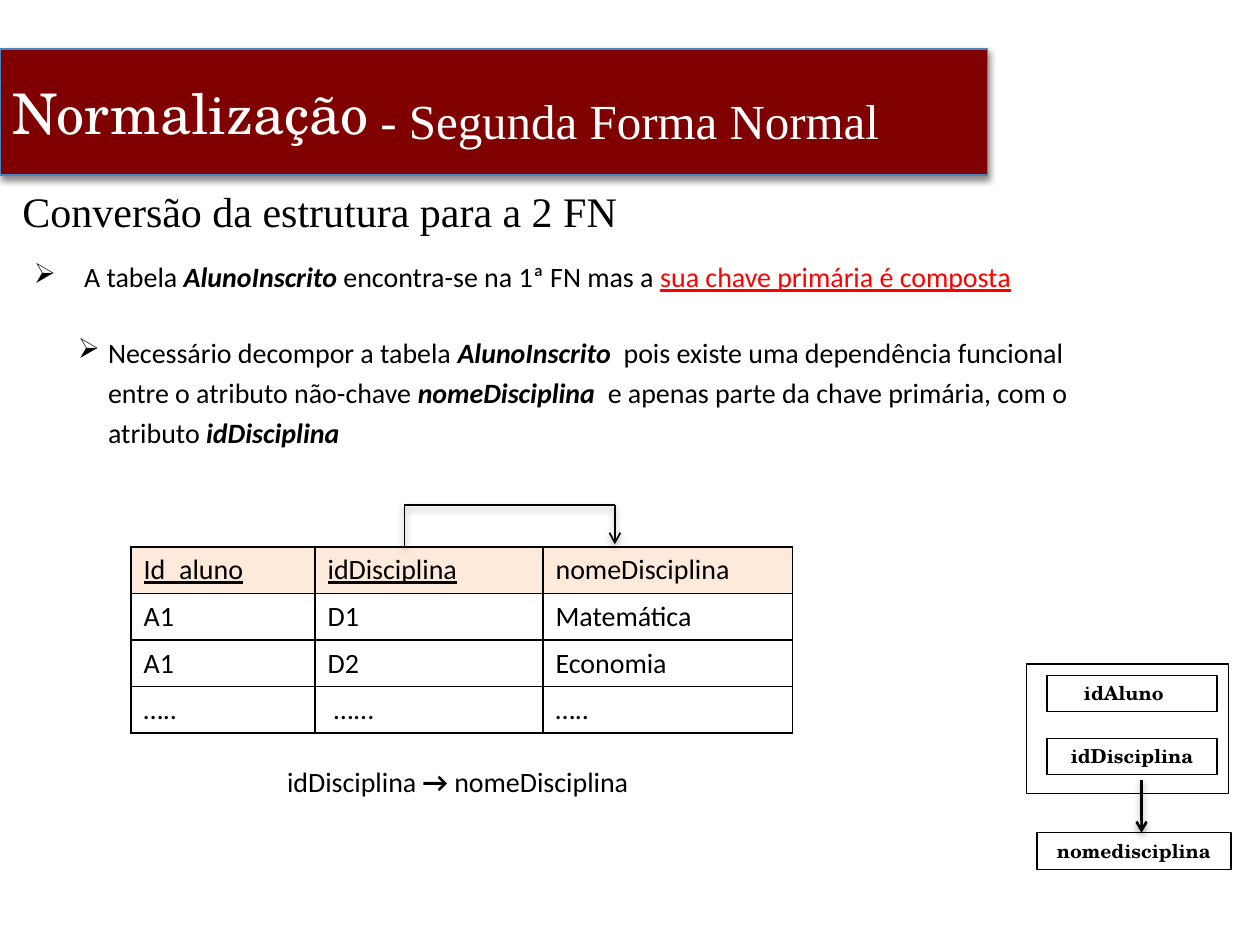
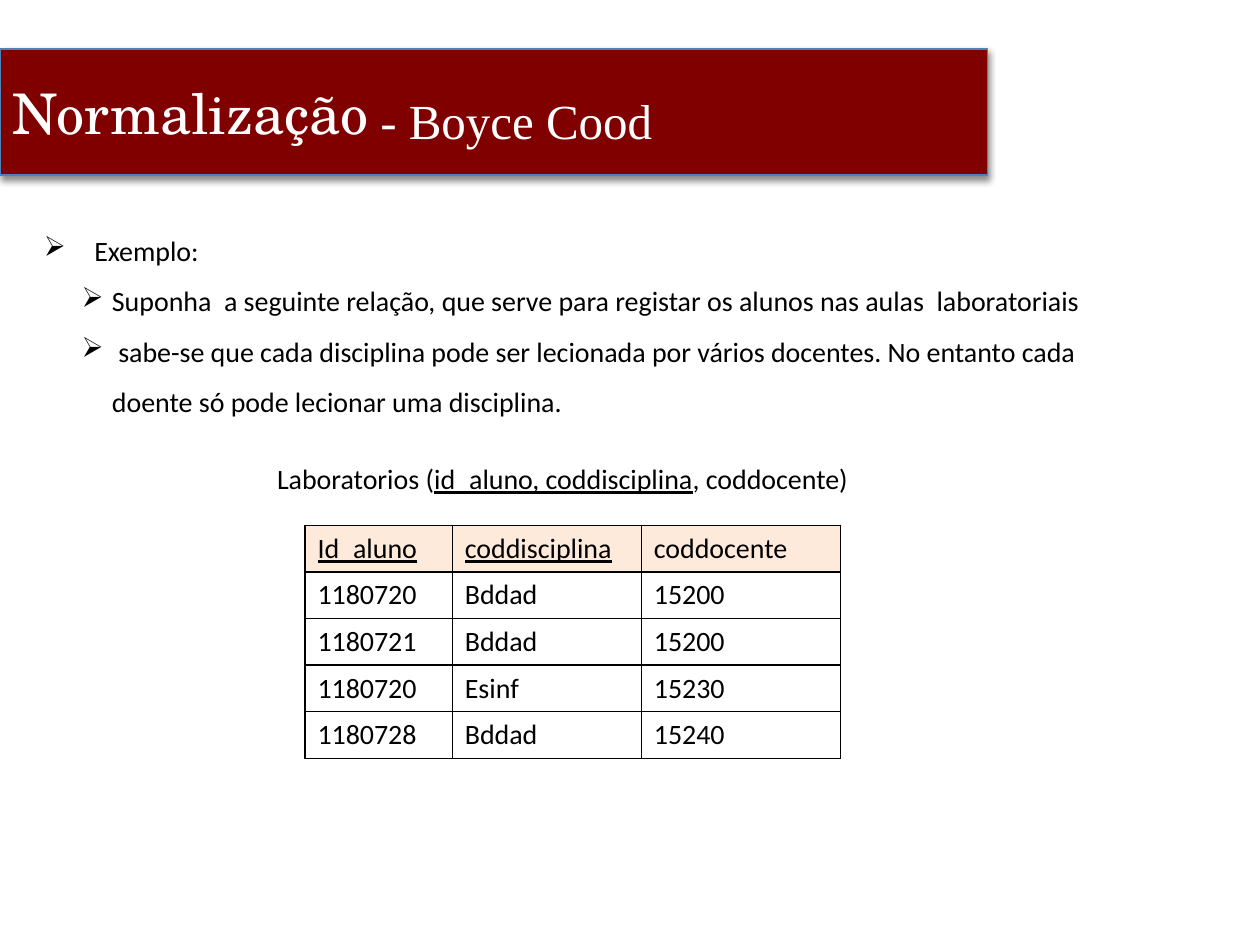
from dataclasses import dataclass
from typing import NamedTuple

from lxml import etree
from pptx import Presentation
from pptx.dml.color import RGBColor
from pptx.enum.shapes import MSO_CONNECTOR, MSO_SHAPE
from pptx.enum.text import MSO_ANCHOR, PP_ALIGN
from pptx.oxml.ns import qn
from pptx.util import Inches, Pt

RECTANGLE = MSO_SHAPE.RECTANGLE
STRAIGHT = MSO_CONNECTOR.STRAIGHT
MIDDLE, TOP = MSO_ANCHOR.MIDDLE, MSO_ANCHOR.TOP
LEFT, CENTER = PP_ALIGN.LEFT, PP_ALIGN.CENTER

BLACK, WHITE, RED = "000000", "FFFFFF", "FF0000"
BAND_FILL, BAND_LINE, HEADER_FILL = "800000", "4F81BD", "FDEADA"
BULLET = "➢"


class Style(NamedTuple):
    """Font, size, colour and weight of a text."""
    font: str
    size: float
    color: str = BLACK
    bold: bool = False


BODY = Style("Calibri", 16)
BAND_TITLE = Style("TeX Gyre Schola", 32, WHITE)
BAND_TOPIC = Style("Times New Roman", 28, WHITE)
HEADING = Style("Times New Roman", 24)
ATTRIBUTE = Style("TeX Gyre Schola", 11, BLACK, True)


class Box(NamedTuple):
    """Position and size in inches."""
    left: float
    top: float
    width: float
    height: float


class Run(NamedTuple):
    """A piece of text with its emphasis."""
    text: str
    bold: bool = False
    italic: bool = False
    underline: bool = False
    color: str = ""


@dataclass
class Para:
    """A paragraph with its runs, indents in inches and spacing."""
    runs: list[Run]
    margin: float = 0
    indent: float = 0
    spacing: float = 1.0
    before: float = 0
    bullet: bool = False
    align: PP_ALIGN = LEFT


@dataclass
class Grid:
    """A table whose first row is the header and whose keys are underlined."""
    left: float
    top: float
    columns: list[float]
    row_height: float
    rows: list[list[str]]
    key_columns: int = 2


@dataclass
class AttributeBox:
    """A framed attribute name."""
    name: str
    box: Box
    extra_right: float = 0


def rgb(color: str) -> RGBColor:
    """Turn a hex string into a colour."""
    return RGBColor.from_string(color)


def emphasis(text: str) -> Run:
    """Make a bold italic run."""
    return Run(text, bold=True, italic=True)


def add_shadow(shape, opacity: int, blur: float) -> None:
    """Give a shape or connector a soft shadow below it."""
    properties = shape._element.spPr
    effects = properties.find(qn("a:effectLst"))
    if effects is None:
        effects = etree.SubElement(properties, qn("a:effectLst"))
    shadow = etree.SubElement(effects, qn("a:outerShdw"), blurRad=str(Pt(blur)),
                              dist=str(Pt(2)), dir="5400000", rotWithShape="0")
    color = etree.SubElement(shadow, qn("a:srgbClr"), val=BLACK)
    etree.SubElement(color, qn("a:alpha"), val=str(opacity * 1000))


def write_paragraph(paragraph, content: Para, style: Style) -> None:
    """Fill a paragraph run by run."""
    paragraph.alignment = content.align
    paragraph.line_spacing = content.spacing
    paragraph.space_before = Pt(content.before)
    properties = paragraph._p.get_or_add_pPr()
    properties.set("marL", str(Inches(content.margin)))
    properties.set("indent", str(Inches(content.indent)))
    if content.bullet:
        etree.SubElement(properties, qn("a:buChar"), char=BULLET)
    for piece in content.runs:
        run = paragraph.add_run()
        run.text = piece.text
        font = run.font
        font.name, font.size = style.font, Pt(style.size)
        font.bold = style.bold or piece.bold
        font.italic, font.underline = piece.italic, piece.underline
        font.color.rgb = rgb(piece.color or style.color)


def write_text(frame, paragraphs: list[Para], style: Style, anchor: MSO_ANCHOR = TOP) -> None:
    """Fill a text frame with paragraphs."""
    frame.word_wrap = True
    frame.vertical_anchor = anchor
    for index, content in enumerate(paragraphs):
        paragraph = frame.add_paragraph() if index else frame.paragraphs[0]
        write_paragraph(paragraph, content, style)


def add_text(slide, box: Box, paragraphs: list[Para], style: Style = BODY) -> None:
    """Add a text box."""
    shape = slide.shapes.add_textbox(*map(Inches, box))
    write_text(shape.text_frame, paragraphs, style)


def add_rectangle(slide, box: Box, line: str = BLACK, fill: str = ""):
    """Add a thinly outlined rectangle without a shadow."""
    shape = slide.shapes.add_shape(RECTANGLE, *map(Inches, box))
    shape.shadow.inherit = False
    if fill:
        shape.fill.solid()
        shape.fill.fore_color.rgb = rgb(fill)
    else:
        shape.fill.background()
    shape.line.color.rgb = rgb(line)
    shape.line.width = Pt(0.75)
    return shape


def add_line(slide, start: tuple[float, float], end: tuple[float, float],
             width: float = 1, arrow: bool = False) -> None:
    """Add a shadowed straight line, optionally with an arrowhead."""
    connector = slide.shapes.add_connector(STRAIGHT, *map(Inches, start + end))
    connector.line.color.rgb = rgb(BLACK)
    connector.line.width = Pt(width)
    if arrow:
        etree.SubElement(connector.line._get_or_add_ln(), qn("a:tailEnd"), type="arrow")
    add_shadow(connector, 40, 4.1)


def add_attribute(slide, attribute: AttributeBox) -> None:
    """Add a framed attribute name."""
    shape = add_rectangle(slide, attribute.box)
    shape.text_frame.margin_right = Inches(0.1 + attribute.extra_right)
    write_text(shape.text_frame, [Para([Run(attribute.name)], align=CENTER)], ATTRIBUTE)


def add_borders(cell) -> None:
    """Draw a black line on every side of a cell."""
    properties = cell._tc.get_or_add_tcPr()
    for index, side in enumerate(("lnL", "lnR", "lnT", "lnB")):
        line = etree.Element(qn(f"a:{side}"), w=str(Pt(1)))
        fill = etree.SubElement(line, qn("a:solidFill"))
        etree.SubElement(fill, qn("a:srgbClr"), val=BLACK)
        properties.insert(index, line)


def add_grid(slide, grid: Grid) -> None:
    """Add a bordered table with a tinted header row."""
    box = Box(grid.left, grid.top, sum(grid.columns), grid.row_height * len(grid.rows))
    frame = slide.shapes.add_table(len(grid.rows), len(grid.columns), *map(Inches, box))
    table = frame.table
    table.first_row = table.horz_banding = False
    for column, width in zip(table.columns, grid.columns):
        column.width = Inches(width)
    for row_index, texts in enumerate(grid.rows):
        table.rows[row_index].height = Inches(grid.row_height)
        for column_index, text in enumerate(texts):
            cell = table.cell(row_index, column_index)
            cell.margin_bottom = Inches(0.04)
            is_header = row_index == 0
            if is_header:
                cell.fill.solid()
                cell.fill.fore_color.rgb = rgb(HEADER_FILL)
            else:
                cell.fill.background()
            add_borders(cell)
            is_key = is_header and column_index < grid.key_columns
            write_text(cell.text_frame, [Para([Run(text, underline=is_key)])], BODY)


def add_titled_slide(presentation, topic: str):
    """Add a blank slide with the title band and its topic."""
    slide = presentation.slides.add_slide(presentation.slide_layouts[6])
    band = add_rectangle(slide, Box(0, 0.39, 7.84, 1), BAND_LINE, BAND_FILL)
    add_shadow(band, 45, 4)
    write_text(band.text_frame, [Para([Run("Normalização")])], BAND_TITLE, MIDDLE)
    add_text(slide, Box(2.92, 0.67, 4.42, 0.58), [Para([Run(f"- {topic}")])], BAND_TOPIC)
    return slide


def build_second_form(presentation) -> None:
    """Build the slide on the second normal form."""
    slide = add_titled_slide(presentation, "Segunda Forma Normal")
    add_text(slide, Box(0.08, 1.42, 9, 1),
             [Para([Run("Conversão da estrutura para a 2 FN")])], HEADING)
    add_text(slide, Box(0.08, 1.96, 8.67, 2.12), [
        Para([Run("A tabela "), emphasis("AlunoInscrito "),
              Run("encontra-se na 1ª FN mas a "),
              Run("sua chave primária é composta", underline=True, color=RED)],
             0.49, -0.4, 1.2, 4.5, True),
        Para([Run("Necessário decompor a tabela "), emphasis("AlunoInscrito"),
              Run("  pois existe uma dependência funcional entre o atributo não-chave "),
              emphasis("nomeDisciplina"),
              Run("  e apenas parte da chave primária, com o atributo "),
              emphasis("idDisciplina")],
             0.68, -0.24, 1.2, 20, True),
    ])
    add_grid(slide, Grid(1.04, 4.34, [1.46, 1.81, 1.98], 0.37, [
        ["Id_aluno", "idDisciplina", "nomeDisciplina"],
        ["A1", "D1", "Matemática"],
        ["A1", "D2", "Economia"],
        ["…..", " …...", "….."],
    ]))
    corners = [(3.21, 4.34), (3.21, 4.01), (4.88, 4.01), (4.88, 4.32)]
    for start, end in zip(corners, corners[1:]):
        add_line(slide, start, end, arrow=end == corners[-1])
    add_text(slide, Box(1.79, 6.02, 3.33, 0.37), [
        Para([Run("idDisciplina "), Run("→ ", bold=True), Run("nomeDisciplina")],
             margin=0.39, before=4.5),
    ])
    add_rectangle(slide, Box(8.15, 5.27, 1.6, 1.03))
    for attribute in (
        AttributeBox("idAluno", Box(8.31, 5.36, 1.35, 0.29), 0.13),
        AttributeBox("idDisciplina", Box(8.31, 5.86, 1.35, 0.29)),
        AttributeBox("nomedisciplina", Box(8.23, 6.61, 1.54, 0.29)),
    ):
        add_attribute(slide, attribute)
    add_line(slide, (9.06, 6.19), (9.06, 6.61), 1.5, True)


def build_boyce_form(presentation) -> None:
    """Build the slide with the laboratory example."""
    slide = add_titled_slide(presentation, "Boyce Cood")
    details = [
        "Suponha  a seguinte relação, que serve para registar os alunos nas aulas  laboratoriais",
        " sabe-se que cada disciplina pode ser lecionada por vários docentes. "
        "No entanto cada doente só pode lecionar uma disciplina.",
    ]
    add_text(slide, Box(0.25, 1.67, 8.75, 1.67), [
        Para([Run("Exemplo:")], 0.4, -0.4, 1.5, bullet=True),
        *(Para([Run(detail)], 0.54, -0.24, 1.5, bullet=True) for detail in details),
    ])
    add_text(slide, Box(2.08, 3.48, 4.92, 0.46), [
        Para([Run("Laboratorios ("), Run("id_aluno, coddisciplina", underline=True),
              Run(", coddocente)")], indent=0.02, spacing=1.5),
    ])
    add_grid(slide, Grid(2.42, 4.17, [1.17, 1.5, 1.58], 0.37, [
        ["Id_aluno", "coddisciplina", "coddocente"],
        ["1180720", "Bddad", "15200"],
        ["1180721", "Bddad", "15200"],
        ["1180720", "Esinf", "15230"],
        ["1180728", "Bddad", "15240"],
    ]))


def main() -> None:
    """Build and save the presentation."""
    presentation = Presentation()
    presentation.slide_width, presentation.slide_height = Inches(10), Inches(7.5)
    build_second_form(presentation)
    build_boyce_form(presentation)
    presentation.save("out.pptx")


if __name__ == "__main__":
    main()
